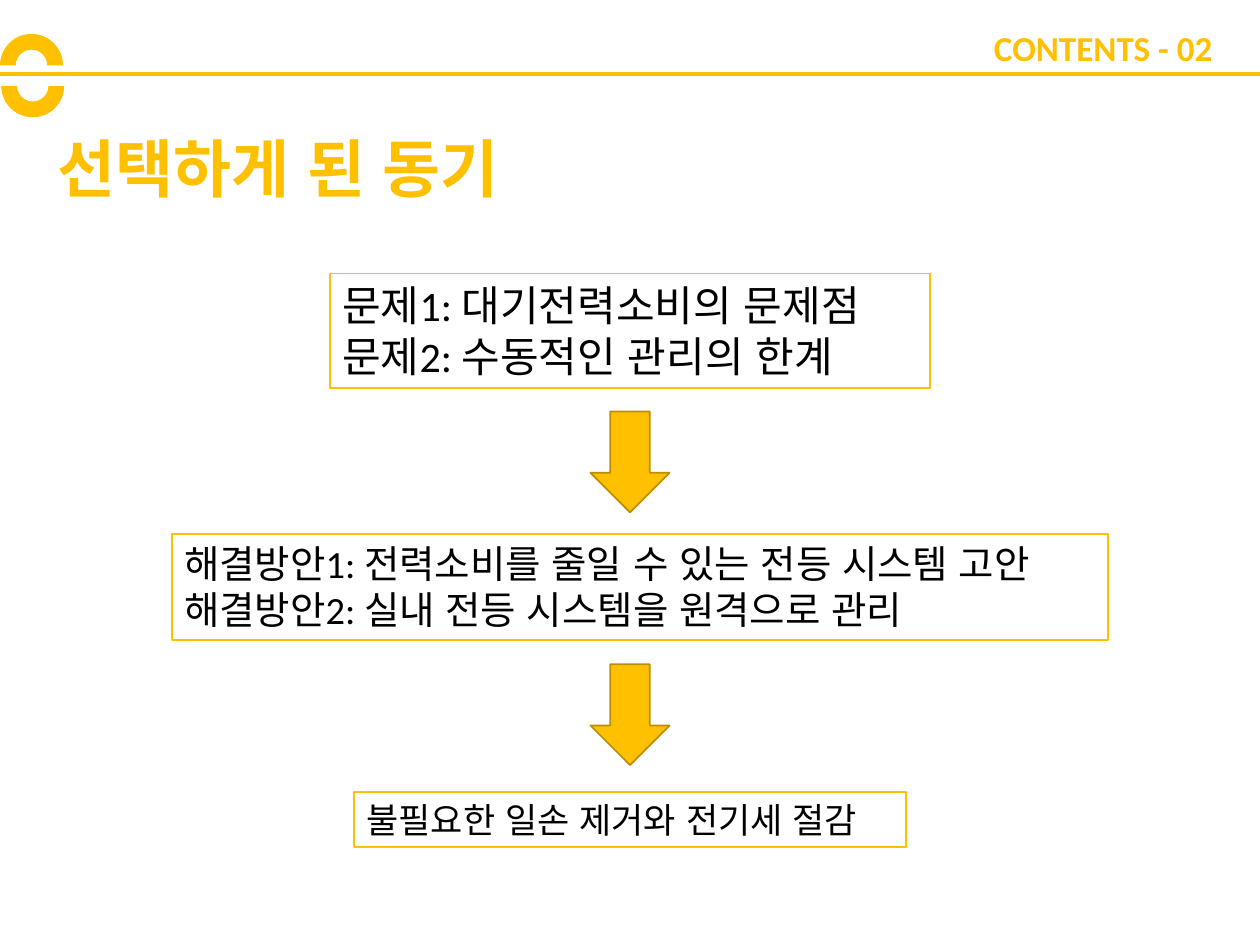
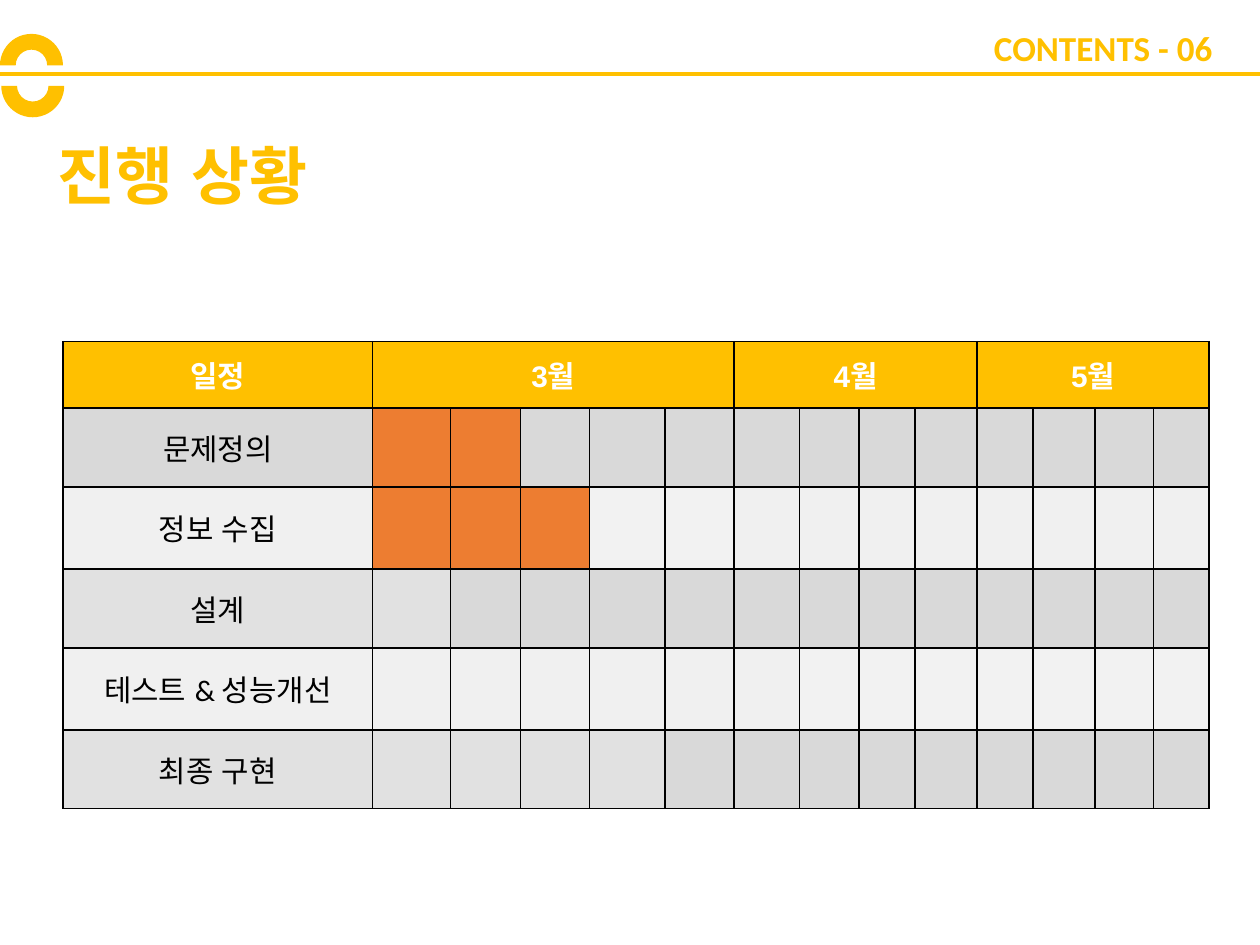
import pptx
import pptx.util
import pptx.dml.color
import pptx.enum.shapes
import pptx.enum.text
import pptx.enum.lang
import pptx.oxml
import pptx.oxml.ns
from lxml import etree

Pt = pptx.util.Pt
RGB = pptx.dml.color.RGBColor
KIND = pptx.enum.shapes.MSO_SHAPE
ALIGN = pptx.enum.text.PP_ALIGN
ANCHOR = pptx.enum.text.MSO_ANCHOR

GOLD = RGB(0xFF, 0xC0, 0x00)
BROWN = RGB(0xBD, 0x8E, 0x00)
WHITE = RGB(0xFF, 0xFF, 0xFF)
BLACK = RGB(0x00, 0x00, 0x00)
ORANGE = RGB(0xED, 0x7D, 0x31)
GREY = RGB(0xD9, 0xD9, 0xD9)
MIST = RGB(0xE1, 0xE1, 0xE1)
PALE = RGB(0xF0, 0xF0, 0xF0)
SNOW = RGB(0xF2, 0xF2, 0xF2)

HEAD = {"size": Pt(36), "name": "Calibri", "bold": True}
MARK = {"size": Pt(20), "name": "Calibri", "bold": True}
BODY = {"name": "Calibri", "bold": False}
MONTH = {"size": Pt(17), "name": "Arial", "bold": True}
TASK = {"size": Pt(17), "name": "Calibri", "bold": False}


def write(frame, lines, form, color, align=ALIGN.LEFT, anchor=ANCHOR.TOP):
    frame.word_wrap = True
    frame.vertical_anchor = anchor
    for i, line in enumerate(lines):
        para = frame.add_paragraph() if i else frame.paragraphs[0]
        para.alignment = align
        run = para.add_run()
        run.text = line
        for key, value in form.items():
            setattr(run.font, key, value)
        run.font.color.rgb = color
        run.font.language_id = pptx.enum.lang.MSO_LANGUAGE_ID.KOREAN


def draw(slide, kind, box, fill, edge=None):
    shape = slide.shapes.add_shape(kind, *map(Pt, box))
    shape.shadow.inherit = False
    shape.fill.solid()
    shape.fill.fore_color.rgb = fill
    if edge is None:
        shape.line.fill.background()
    else:
        shape.line.color.rgb = edge
        shape.line.width = Pt(1)
    return shape


deck = pptx.Presentation()
deck.slide_width = Pt(720)
deck.slide_height = Pt(540)

pages = []
for title, number, width, height in [
    ("선택하게 된 동기", "02", 302.4, 36.7),
    ("진행 상황", "06", 277.2, 44.6),
]:
    page = deck.slides.add_slide(deck.slide_layouts[6])
    pages.append(page)

    rule = page.shapes.add_connector(
        pptx.enum.shapes.MSO_CONNECTOR.STRAIGHT, 0, Pt(42.5), Pt(720), Pt(42.5))
    rule.line.color.rgb = GOLD
    rule.line.width = Pt(2.25)
    etree.SubElement(rule.element.spPr, pptx.oxml.ns.qn("a:effectLst"))

    for left, top, turn in [(0, 19.4, 0), (0.7, 31, 180)]:
        arc = draw(page, KIND.BLOCK_ARC, (left, top, 36, 36), GOLD)
        arc.rotation = turn

    head = page.shapes.add_textbox(Pt(26), Pt(80), Pt(width), Pt(height))
    write(head.text_frame, [title], HEAD, GOLD, anchor=ANCHOR.MIDDLE)
    head.text_frame.paragraphs[0].line_spacing = 0.9

    mark = page.shapes.add_textbox(Pt(556), Pt(11.5), Pt(144), Pt(31.5))
    write(mark.text_frame, ["CONTENTS - " + number], MARK, GOLD, ALIGN.RIGHT)

motive, status = pages

for box, size, lines in [
    ((188.5, 156.3, 343, 65.4), 24,
     ["문제1: 대기전력소비의 문제점", "문제2: 수동적인 관리의 한계"]),
    ((98.2, 305.2, 535, 60.6), 22,
     ["해결방안1: 전력소비를 줄일 수 있는 전등 시스템 고안",
      "해결방안2: 실내 전등 시스템을 원격으로 관리"]),
    ((202.3, 452.6, 315.6, 31.5), 20, ["불필요한 일손 제거와 전기세 절감"]),
]:
    panel = draw(motive, KIND.RECTANGLE, box, WHITE, GOLD)
    write(panel.text_frame, lines, {**BODY, "size": Pt(size)}, BLACK)

for top in (235.2, 379.6):
    draw(motive, KIND.DOWN_ARROW, (337.4, top, 45.2, 57.6), GOLD, BROWN)

widths = [177, 44.5, 40, 39.5, 43, 39.5, 37.5, 34, 32, 35.5, 32, 35.5, 33.5, 31.5]
heights = [38, 45, 47, 45, 47, 45]
months = [("일정", 1), ("3월", 5), ("4월", 4), ("5월", 4)]
tasks = [
    ("문제정의", [(GREY, 1), (ORANGE, 2), (GREY, 11)]),
    ("정보 수집", [(PALE, 1), (ORANGE, 3), (SNOW, 2), (PALE, 8)]),
    ("설계", [(MIST, 2), (GREY, 12)]),
    ("테스트 & 성능개선", [(PALE, 7), (SNOW, 7)]),
    ("최종 구현", [(MIST, 5), (GREY, 9)]),
]

grid = status.shapes.add_table(
    len(heights), len(widths), Pt(36), Pt(195.2), Pt(sum(widths)), Pt(sum(heights))).table
for col, width in zip(grid.columns, widths):
    col.width = Pt(width)
for row, height in zip(grid.rows, heights):
    row.height = Pt(height)

bands = [[(GOLD, len(widths))]] + [band for name, band in tasks]
for r, band in enumerate(bands):
    fills = [color for color, count in band for step in range(count)]
    for c, color in enumerate(fills):
        cell = grid.cell(r, c)
        props = cell._tc.get_or_add_tcPr()
        for side in ("lnL", "lnR", "lnT", "lnB"):
            props.append(pptx.oxml.parse_xml(
                f'<a:{side} {pptx.oxml.ns.nsdecls("a")} w="12700"><a:solidFill>'
                f'<a:srgbClr val="{BLACK}"/></a:solidFill></a:{side}>'))
        cell.fill.solid()
        cell.fill.fore_color.rgb = color

start = 0
for name, span in months:
    cell = grid.cell(0, start)
    if span > 1:
        cell.merge(grid.cell(0, start + span - 1))
    write(cell.text_frame, [name], MONTH, WHITE, ALIGN.CENTER)
    cell.vertical_anchor = ANCHOR.MIDDLE
    start += span

for r, (name, band) in enumerate(tasks, 1):
    cell = grid.cell(r, 0)
    write(cell.text_frame, [name], TASK, BLACK, ALIGN.CENTER)
    cell.vertical_anchor = ANCHOR.MIDDLE

deck.save("out.pptx")
